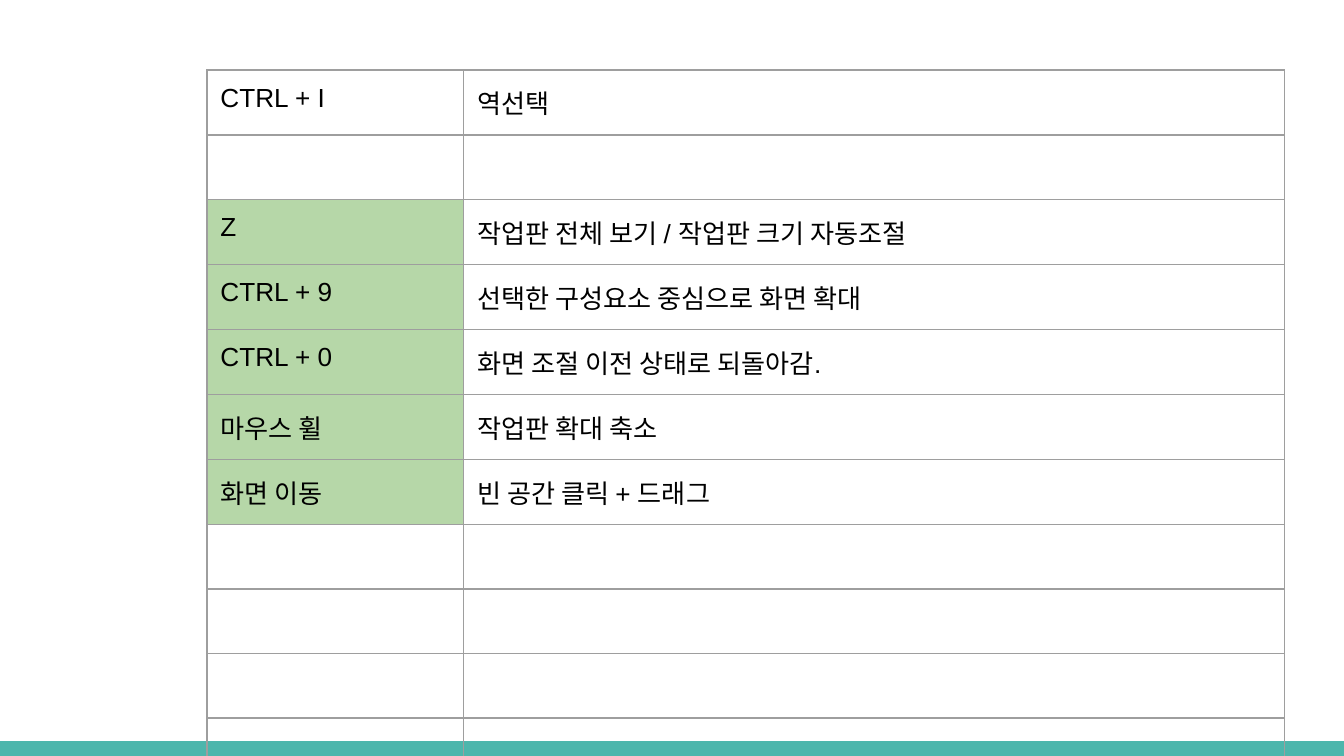
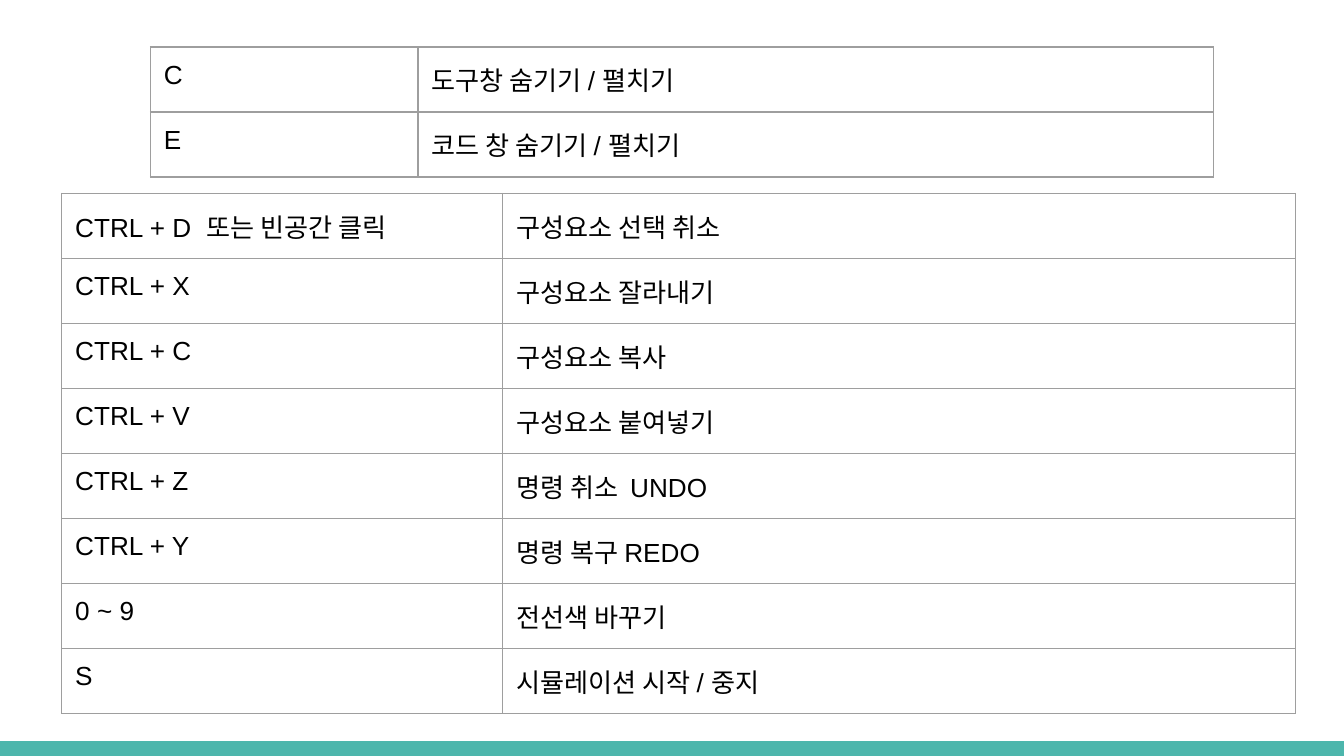
from dataclasses import dataclass

from lxml import etree
from pptx import Presentation
from pptx.dml.color import RGBColor
from pptx.enum.shapes import MSO_SHAPE
from pptx.oxml.ns import qn
from pptx.util import Inches, Pt

RECT = MSO_SHAPE.RECTANGLE
SIDES = ("a:lnL", "a:lnR", "a:lnT", "a:lnB")


@dataclass(frozen=True)
class Theme:
    font: str = "Arial"
    size: int = 14
    text: str = "000000"
    band: str = "4DB6AC"
    grid: str = "9E9E9E"
    grid_width: float = 0.75
    key_fill: str = "B6D7A8"


THEME = Theme()
WIDTH, HEIGHT, BAND_HEIGHT = 10, 5.625, 0.11
ROW_HEIGHT, EMPTY_ROW_HEIGHT, INSET = 0.42, 0.48, 0.1
EMPTY = ("", "")

VIEW_KEYS = {
    "at": (1.54, 0.52),
    "cols": (1.91, 6.11),
    "shaded": range(2, 7),
    "rows": [
        ("CTRL + I", "역선택"),
        EMPTY,
        ("Z", "작업판 전체 보기 / 작업판 크기 자동조절"),
        ("CTRL + 9", "선택한 구성요소 중심으로 화면 확대"),
        ("CTRL + 0", "화면 조절 이전 상태로 되돌아감."),
        ("마우스 휠", "작업판 확대 축소"),
        ("화면 이동", "빈 공간 클릭 + 드래그"),
        *[EMPTY] * 4,
    ],
}
EDIT_KEYS = {
    "at": (0.46, 1.44),
    "cols": (3.28, 5.9),
    "shaded": (),
    "rows": [
        ("CTRL + D  또는 빈공간 클릭", "구성요소 선택 취소"),
        ("CTRL + X", "구성요소 잘라내기"),
        ("CTRL + C", "구성요소 복사"),
        ("CTRL + V", "구성요소 붙여넣기"),
        ("CTRL + Z", "명령 취소  UNDO"),
        ("CTRL + Y", "명령 복구 REDO"),
        ("0 ~ 9", "전선색 바꾸기"),
        ("S", "시뮬레이션 시작 / 중지"),
    ],
}
PANEL_KEYS = {
    "at": (1.12, 0.35),
    "cols": (1.99, 5.92),
    "shaded": (),
    "rows": [
        ("C", "도구창 숨기기 / 펼치기"),
        ("E", "코드 창 숨기기 / 펼치기"),
    ],
}
SLIDES = [[VIEW_KEYS], [EDIT_KEYS, PANEL_KEYS]]


def rgb(color):
    return RGBColor.from_string(color)


def set_attrs(obj, values):
    for name, value in values.items():
        setattr(obj, name, value)


def add_band(slide):
    sp = slide.shapes.add_shape(RECT, 0, Inches(HEIGHT - BAND_HEIGHT),
                                Inches(WIDTH), Inches(BAND_HEIGHT))
    sp.shadow.inherit = False
    sp.fill.solid()
    sp.fill.fore_color.rgb = rgb(THEME.band)
    sp.line.fill.background()


def set_borders(cell):
    pr = cell._tc.get_or_add_tcPr()
    for i, side in enumerate(SIDES):
        ln = etree.Element(qn(side), w=str(Pt(THEME.grid_width)))
        fill = etree.SubElement(ln, qn("a:solidFill"))
        etree.SubElement(fill, qn("a:srgbClr"), val=THEME.grid)
        pr.insert(i, ln)


def fill_cell(cell, text, shaded):
    margins = ("margin_left", "margin_right", "margin_top", "margin_bottom")
    set_attrs(cell, dict.fromkeys(margins, Inches(INSET)))
    if shaded:
        cell.fill.solid()
        cell.fill.fore_color.rgb = rgb(THEME.key_fill)
    else:
        cell.fill.background()
    set_borders(cell)
    p = cell.text_frame.paragraphs[0]
    if text:
        r = p.add_run()
        r.text = text
        set_attrs(r.font, {"name": THEME.font, "size": Pt(THEME.size)})
        r.font.color.rgb = rgb(THEME.text)
    else:
        end = etree.SubElement(p._p, qn("a:endParaRPr"), sz=str(THEME.size * 100))
        etree.SubElement(end, qn("a:latin"), typeface=THEME.font)


def add_key_table(slide, keys):
    rows, cols = keys["rows"], keys["cols"]
    heights = [ROW_HEIGHT if any(row) else EMPTY_ROW_HEIGHT for row in rows]
    left, top = keys["at"]
    table = slide.shapes.add_table(
        len(rows), len(cols), Inches(left), Inches(top),
        Inches(sum(cols)), Inches(sum(heights))).table
    set_attrs(table, {"first_row": False, "horz_banding": False})
    for col, width in zip(table.columns, cols):
        col.width = Inches(width)
    for i, (row, height) in enumerate(zip(rows, heights)):
        table.rows[i].height = Inches(height)
        for j, text in enumerate(row):
            fill_cell(table.cell(i, j), text, j == 0 and i in keys["shaded"])


def main():
    prs = Presentation()
    set_attrs(prs, {"slide_width": Inches(WIDTH), "slide_height": Inches(HEIGHT)})
    for tables in SLIDES:
        slide = prs.slides.add_slide(prs.slide_layouts[6])
        add_band(slide)
        for keys in tables:
            add_key_table(slide, keys)
    prs.save("out.pptx")


if __name__ == "__main__":
    main()
